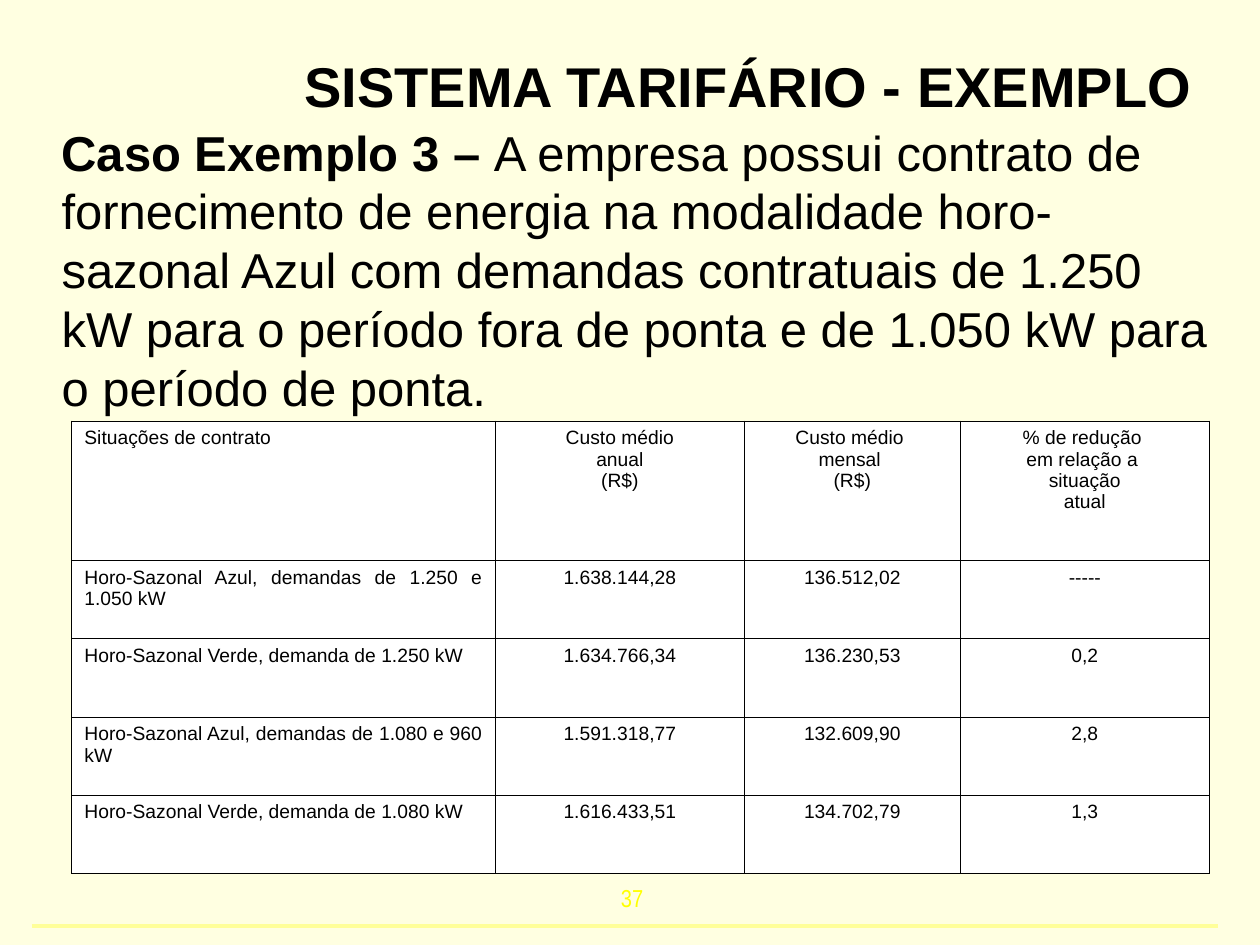
from dataclasses import dataclass

from lxml.etree import SubElement
from pptx import Presentation
from pptx.dml.color import RGBColor
from pptx.enum.shapes import MSO_CONNECTOR
from pptx.enum.text import PP_ALIGN as Align
from pptx.oxml.ns import qn
from pptx.util import Inches, Pt

CREAM = RGBColor(0xFF, 0xFF, 0xE1)
PALE_YELLOW = RGBColor(0xFF, 0xFF, 0x99)
YELLOW = RGBColor(0xFF, 0xFF, 0x00)
BLACK = RGBColor(0, 0, 0)
WHITE = RGBColor(0xFF, 0xFF, 0xFF)


@dataclass(frozen=True)
class Span:
    text: str
    size: float
    bold: bool = False
    color: RGBColor = BLACK
    font: str = "Arial"


@dataclass(frozen=True)
class TextBlock:
    left: float
    top: float
    width: float
    height: float
    spans: tuple[Span, ...]
    align: Align = Align.LEFT


BLOCKS = (
    TextBlock(4.83, 6.96, 0.75, 0.34, (Span("37", 14, color=YELLOW, font="Arial Narrow"),)),
    TextBlock(0.6, 0.36, 8.96, 0.64, (Span("SISTEMA TARIFÁRIO - EXEMPLO", 32, bold=True),), Align.RIGHT),
    TextBlock(0.39, 0.92, 9.32, 2.44, (
        Span("Caso Exemplo 3 – ", 28, bold=True),
        Span("A empresa possui contrato de fornecimento de energia na modalidade "
             "horo-sazonal Azul com demandas contratuais de 1.250 kW para o período "
             "fora de ponta e de 1.050 kW para o período de ponta.", 28),
    )),
)

COLUMN_WIDTHS = (3.36, 1.98, 1.71, 1.98)
ROW_HEIGHTS = (1.11, 0.62, 0.62, 0.62, 0.62)
CONTRACT_ROWS = (
    ("Situações de contrato", "Custo médio\nanual\n(R$)", "Custo médio \nmensal \n(R$)",
     "% de redução \nem relação a \nsituação\natual"),
    ("Horo-Sazonal Azul, demandas de 1.250 e 1.050 kW", "1.638.144,28", "136.512,02", "-----"),
    ("Horo-Sazonal Verde, demanda de 1.250 kW", "1.634.766,34", "136.230,53", "0,2"),
    ("Horo-Sazonal Azul, demandas de 1.080 e 960 kW", "1.591.318,77", "132.609,90", "2,8"),
    ("Horo-Sazonal Verde, demanda de 1.080 kW", "1.616.433,51", "134.702,79", "1,3"),
)


def add_span(para, span: Span) -> None:
    run = para.add_run()
    run.text = span.text
    run.font.name = span.font
    run.font.size = Pt(span.size)
    run.font.bold = span.bold
    run.font.color.rgb = span.color


def add_text(page, block: TextBlock) -> None:
    box = page.shapes.add_textbox(Inches(block.left), Inches(block.top),
                                  Inches(block.width), Inches(block.height))
    box.text_frame.word_wrap = True
    para = box.text_frame.paragraphs[0]
    para.alignment = block.align
    for span in block.spans:
        add_span(para, span)


def add_footer_rule(page) -> None:
    rule = page.shapes.add_connector(MSO_CONNECTOR.STRAIGHT, Inches(0.25), Inches(7.35),
                                     Inches(9.67), Inches(7.35))
    rule.line.color.rgb = PALE_YELLOW
    rule.line.width = Pt(2.25)
    SubElement(rule._element.spPr, qn("a:effectLst"))


def style_cell(cell) -> None:
    """Draw thin black borders, then a white fill, in schema order."""
    properties = cell._tc.get_or_add_tcPr()
    for side in ("a:lnL", "a:lnR", "a:lnT", "a:lnB"):
        border = SubElement(properties, qn(side), w=str(Pt(0.45)))
        fill = SubElement(border, qn("a:solidFill"))
        SubElement(fill, qn("a:srgbClr"), val=str(BLACK))
    cell.fill.solid()
    cell.fill.fore_color.rgb = WHITE


def fill_cell(cell, text: str, align: Align) -> None:
    style_cell(cell)
    frame = cell.text_frame
    for index, line in enumerate(text.split("\n")):
        para = frame.add_paragraph() if index else frame.paragraphs[0]
        para.alignment = align
        add_span(para, Span(line, 11))


def add_contract_table(page) -> None:
    table = page.shapes.add_table(
        len(ROW_HEIGHTS), len(COLUMN_WIDTHS), Inches(0.57), Inches(3.34),
        Inches(sum(COLUMN_WIDTHS)), Inches(sum(ROW_HEIGHTS))).table
    table.first_row = False
    table.horz_banding = False
    for column, width in zip(table.columns, COLUMN_WIDTHS):
        column.width = Inches(width)
    for row, height, texts in zip(table.rows, ROW_HEIGHTS, CONTRACT_ROWS):
        row.height = Inches(height)
        for index, (cell, text) in enumerate(zip(row.cells, texts)):
            fill_cell(cell, text, Align.CENTER if index else Align.JUSTIFY)


def main() -> None:
    deck = Presentation()
    deck.slide_width = Inches(10)
    deck.slide_height = Inches(7.5)
    page = deck.slides.add_slide(deck.slide_layouts[6])
    page.background.fill.solid()
    page.background.fill.fore_color.rgb = CREAM
    add_footer_rule(page)
    for block in BLOCKS:
        add_text(page, block)
    add_contract_table(page)
    deck.save("out.pptx")


if __name__ == "__main__":
    main()
